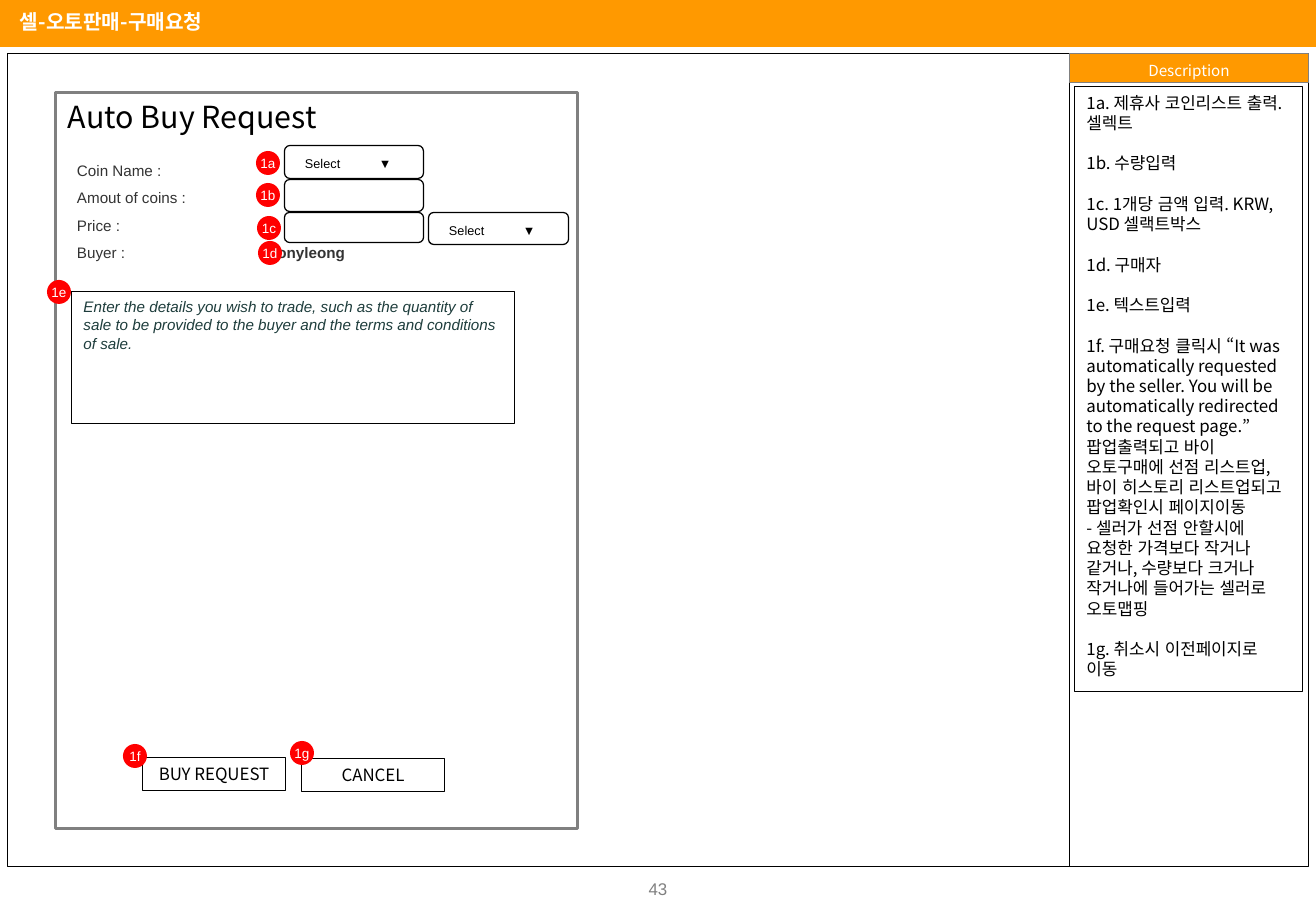
import pptx
import pptx.util
import pptx.dml.color
import pptx.enum.lang
import pptx.enum.shapes
import pptx.enum.text
import pptx.oxml.ns
from lxml import etree

PX = 914400 / 121.5  # EMU in one px
COLORS = {
    "orange": "FF9900", "red": "FF0000", "white": "FFFFFF", "black": "000000",
    "gray": "808080", "label": "333333", "hint": "1E3D3C",
}
SANS, KOREAN = "Arial", "Noto Sans CJK KR"
KINDS = pptx.enum.shapes.MSO_SHAPE
ALIGN = pptx.enum.text.PP_ALIGN
ANCHOR = pptx.enum.text.MSO_ANCHOR
qn = pptx.oxml.ns.qn

presentation = pptx.Presentation()
presentation.slide_width = round(1316 * PX)
presentation.slide_height = round(911 * PX)
slide = presentation.slides.add_slide(presentation.slide_layouts[6])


def add_box(area, kind=None, fill=None, line=None, width=0):
    """Add a preset shape, or a text box when no kind is given."""
    place = [round(value * PX) for value in area]
    if kind is None:
        return slide.shapes.add_textbox(*place)
    shape = slide.shapes.add_shape(kind, *place)
    shape.shadow.inherit = False
    if fill:
        shape.fill.solid()
        shape.fill.fore_color.rgb = pptx.dml.color.RGBColor.from_string(COLORS[fill])
    else:
        shape.fill.background()
    if line:
        # Centre the outline on a pixel so that thin lines stay crisp
        shape.left += round(PX / 2)
        shape.top += round(PX / 2)
        shape.line.color.rgb = pptx.dml.color.RGBColor.from_string(COLORS[line])
        shape.line.width = pptx.util.Pt(width)
    else:
        shape.line.fill.background()
    return shape


def write(shape, paragraphs, size, font=SANS, color="black", align=ALIGN.LEFT,
          bold=False, italic=False, spacing=None, tab=None):
    """Write paragraphs given as lists of runs; a tab is a stop in px."""
    frame = shape.text_frame
    frame.word_wrap = True
    frame.vertical_anchor = ANCHOR.TOP
    if font == KOREAN:
        spacing = pptx.util.Pt(size * 1.2)
    for index, runs in enumerate(paragraphs):
        paragraph = frame.add_paragraph() if index else frame.paragraphs[0]
        paragraph.alignment = align
        if spacing:
            paragraph.line_spacing = spacing
        if tab:
            stops = etree.SubElement(paragraph._p.get_or_add_pPr(), qn("a:tabLst"))
            etree.SubElement(stops, qn("a:tab"), pos=str(round(tab * PX)), algn="l")
        for text in runs:
            run = paragraph.add_run()
            run.text = text
            run.font.size = pptx.util.Pt(size)
            run.font.name = font
            run.font.bold = bold
            run.font.italic = italic
            run.font.color.rgb = pptx.dml.color.RGBColor.from_string(COLORS[color])
            if font == KOREAN:
                # Korean language keeps the curly quotes narrow
                run.font.language_id = pptx.enum.lang.MSO_LANGUAGE_ID.KOREAN
            etree.SubElement(run._r.get_or_add_rPr(), qn("a:ea"), typeface=font)
    return frame


# Page frame: number, title bar, content area and description column
write(add_box((625, 873, 66, 53)), [["43"]], 10, color="gray", align=ALIGN.CENTER)
add_box((0, 0, 1316, 47), KINDS.RECTANGLE, fill="orange")
add_box((7, 53, 1062, 813), KINDS.RECTANGLE, line="black")
add_box((1069, 53, 239, 813), KINDS.RECTANGLE, line="black")
heading = add_box((1069, 53, 239, 29), KINDS.RECTANGLE, "orange", "gray")
frame = write(heading, [["Description"]], 9, KOREAN, "white", ALIGN.CENTER)
frame.margin_top = round(8 * PX)
write(add_box((8, 3, 337, 36)), [["셀-오토판매-구매요청"]], 12, KOREAN, "white", bold=True)

# Form panel with its labels
add_box((55, 92, 522, 736), KINDS.RECTANGLE, "white", "gray", 1.5)
labels = [["Coin Name :"], ["Amout of coins :"], ["Price :"], ["Buyer :\t", "Jonyleong"]]
frame = write(add_box((65, 146, 527, 119)), labels, 9, color="label", spacing=1.5, tab=192)
frame.paragraphs[3].runs[1].font.bold = True

# Buttons
for left, top, caption in [(142, 757, "BUY REQUEST"), (301, 758, "CANCEL")]:
    button = add_box((left, top, 143, 33), KINDS.RECTANGLE, line="black", width=0.75)
    write(button, [[caption]], 10, KOREAN, align=ALIGN.CENTER)

# Input fields, two of them drop-downs
fields = [(284, 145, 139, 33, True), (284, 179, 139, 32, False),
          (284, 212, 139, 30, False), (428, 212, 140, 32, True)]
for left, top, width, height, is_select in fields:
    add_box((left, top, width, height), KINDS.ROUNDED_RECTANGLE, "white", "black")
    if is_select:
        write(add_box((left + 9, top + 5, 124, 28)), [["Select\t▼"]], 7.5, tab=74)

# Numbered badges
badges = {"1a": (256, 151), "1b": (256, 183), "1c": (257, 216), "1d": (258, 241),
          "1e": (47, 280), "1f": (123, 744), "1g": (290, 741)}
for number, (left, top) in badges.items():
    badge = add_box((left, top, 24, 24), KINDS.OVAL, fill="red")
    frame = write(badge, [[number]], 8, color="white", align=ALIGN.CENTER)
    frame.vertical_anchor = ANCHOR.MIDDLE
    frame.margin_left = frame.margin_right = 0

# Trade details and panel title
details = add_box((71, 291, 443, 132), KINDS.RECTANGLE, line="black")
hint = ("Enter the details you wish to trade, such as the quantity of sale to be "
        "provided to the buyer and the terms and conditions of sale.")
write(details, [[hint]], 9, color="hint", italic=True)
write(add_box((56, 92, 810, 49)), [["Auto Buy Request"]], 18, KOREAN)

# Description notes, one blank line apart except for the dashed remark
notes = [
    "1a. 제휴사 코인리스트 출력. 셀렉트",
    "1b. 수량입력",
    "1c. 1개당 금액 입력. KRW, USD 셀랙트박스",
    "1d. 구매자",
    "1e. 텍스트입력",
    "1f. 구매요청 클릭시 “It was automatically requested by the seller. You will be "
    "automatically redirected to the request page.” 팝업출력되고 바이 오토구매에 선점 "
    "리스트업, 바이 히스토리 리스트업되고 팝업확인시 페이지이동",
    "- 셀러가 선점 안할시에 요청한 가격보다 작거나 같거나, 수량보다 크거나 작거나에 "
    "들어가는 셀러로 오토맵핑",
    "1g. 취소시 이전페이지로 이동",
]
column = add_box((1074, 86, 228, 605), KINDS.RECTANGLE, line="black", width=0.75)
frame = write(column, [[note] for note in notes], 10, KOREAN)
for note, paragraph in zip(notes[1:], frame.paragraphs[1:]):
    if not note.startswith("-"):
        paragraph.space_before = pptx.util.Pt(12)

presentation.save("out.pptx")
